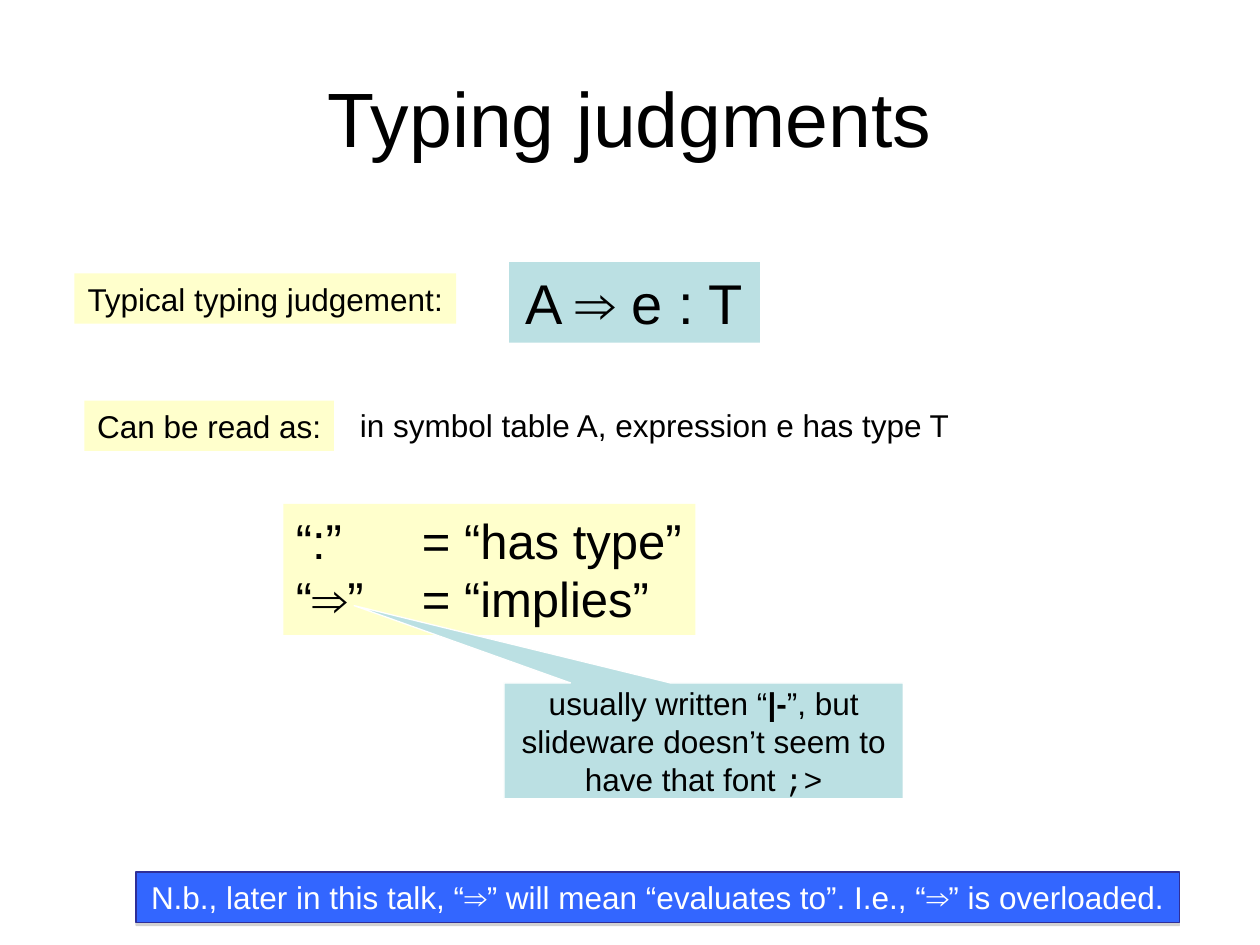
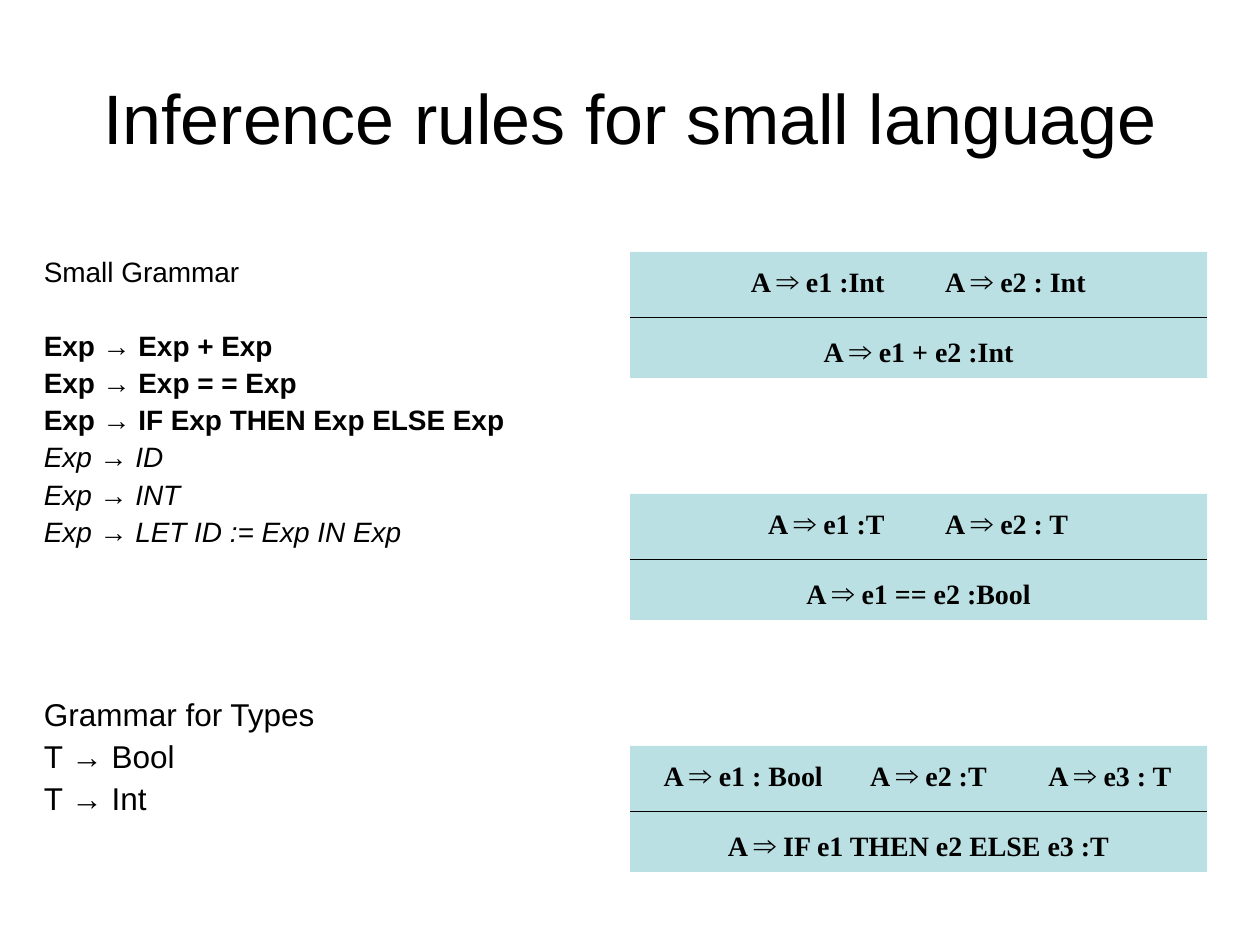
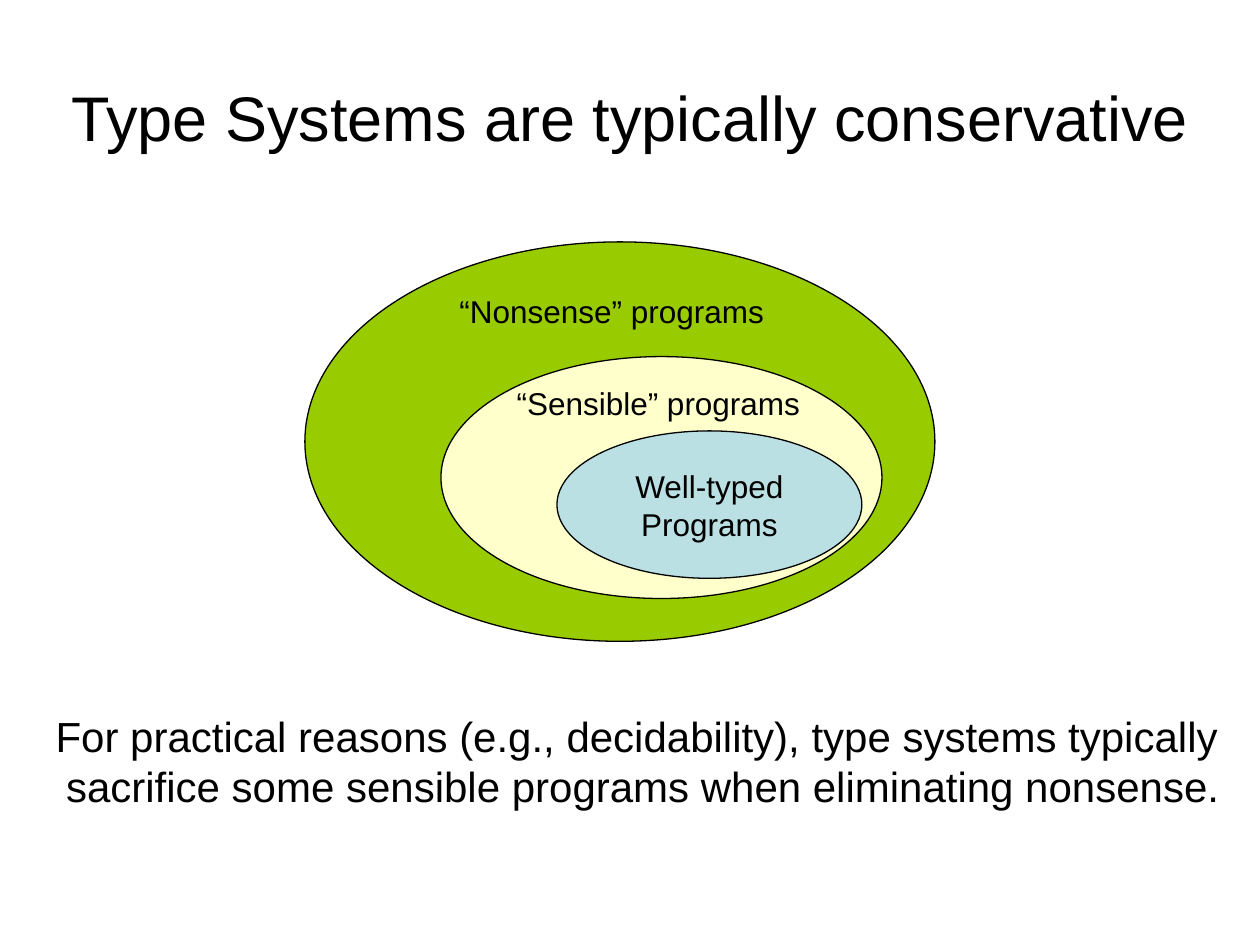
import pptx
import pptx.dml.color
import pptx.enum.shapes
import pptx.enum.text
import pptx.oxml.ns
import pptx.util
from lxml import etree

Inches = pptx.util.Inches
Pt = pptx.util.Pt
RGBColor = pptx.dml.color.RGBColor
SHAPE = pptx.enum.shapes.MSO_SHAPE
ALIGN = pptx.enum.text.PP_ALIGN
ANCHOR = pptx.enum.text.MSO_ANCHOR
AUTO_SIZE = pptx.enum.text.MSO_AUTO_SIZE
qn = pptx.oxml.ns.qn

BLACK = RGBColor(0x00, 0x00, 0x00)
WHITE = RGBColor(0xFF, 0xFF, 0xFF)
TEAL = RGBColor(0xBB, 0xE0, 0xE3)
CREAM = RGBColor(0xFF, 0xFF, 0xCC)
GREEN = RGBColor(0x99, 0xCC, 0x00)
BLUE = RGBColor(0x33, 0x66, 0xFF)
NAVY = RGBColor(0x2F, 0x2F, 0x98)

BOLD = {"bold": True}
ITALIC = {"italic": True}
SERIF = {"bold": True, "name": "Times New Roman", "size": Pt(16)}
MONO = {"name": "Courier New"}


def add_box(slide, at, paragraphs, size=18, kind=SHAPE.RECTANGLE, fill=None, line=None,
            color=BLACK, align=ALIGN.CENTER, middle=False, wrap=False, tabs=(), tab_align="l"):
    """Place a box; a paragraph is a list of (text, font settings) runs.

    Without fill it is a plain text box. Tabs are in inches from the text edge.
    """
    place = [Inches(v) for v in at]
    if fill is None:
        sp = slide.shapes.add_textbox(*place)
    else:
        sp = slide.shapes.add_shape(kind, *place)
        sp.shadow.inherit = False
        sp.fill.solid()
        sp.fill.fore_color.rgb = fill
        if line is None:
            sp.line.fill.background()
        else:
            sp.line.color.rgb = line
            sp.line.width = Pt(0.75)
    tf = sp.text_frame
    tf.word_wrap = wrap
    tf.auto_size = AUTO_SIZE.NONE
    tf.vertical_anchor = ANCHOR.MIDDLE if middle else ANCHOR.TOP
    for i, runs in enumerate(paragraphs):
        p = tf.paragraphs[0] if i == 0 else tf.add_paragraph()
        p.alignment = align
        if tabs:
            tab_list = etree.SubElement(p._p.get_or_add_pPr(), qn("a:tabLst"))
            for stop in tabs:
                etree.SubElement(tab_list, qn("a:tab"), pos=str(Inches(stop)), algn=tab_align)
        for text, settings in runs:
            r = p.add_run()
            r.text = text
            r.font.name = "Arial"
            r.font.size = Pt(size)
            r.font.color.rgb = color
            for key, value in settings.items():
                setattr(r.font, key, value)
    return sp


def add_titled_slide(prs, title, size, left=0.5):
    slide = prs.slides.add_slide(prs.slide_layouts[6])
    add_box(slide, (left, 0.3, 10 - 2 * left, 1.25), [[(title, {})]], size,
            middle=True, wrap=True)
    return slide


prs = pptx.Presentation()
prs.slide_width = Inches(10)
prs.slide_height = Inches(7.5)

# Typing judgments
slide = add_titled_slide(prs, "Typing judgments", 44)
add_box(slide, (4.04, 2.08, 1.99, 0.64), [[("A ⇒ e : T", {})]], 32, fill=TEAL)
for at, text, fill in [
    ((0.59, 2.17, 3.03, 0.4), "Typical typing judgement:", CREAM),
    ((0.67, 3.18, 1.98, 0.4), "Can be read as:", CREAM),
    ((2.75, 3.17, 4.89, 0.4), "in symbol table A, expression e has type T", None),
]:
    add_box(slide, at, [[(text, {})]], fill=fill)
add_box(slide, (2.25, 4, 3.27, 1.04),
        [[("“:”\t= “has type”", {})], [("“⇒”\t= “implies”", {})]],
        28, fill=CREAM, align=ALIGN.LEFT, tabs=[1])
callout = add_box(slide, (4, 5.42, 3.17, 0.92), [
    [("usually written “", {}), ("|-", BOLD), ("”, but", {})],
    [("slideware doesn’t seem to", {})],
    [("have that font ", {}), (";>", MONO)],
], kind=SHAPE.RECTANGULAR_CALLOUT, fill=TEAL, line=WHITE, middle=True)
callout.adjustments[0] = -0.875
callout.adjustments[1] = -1.167

note = add_box(slide, (1.08, 6.92, 8.28, 0.4), [[
    ("N.b., later in this talk, “⇒” will mean “evaluates to”. I.e., “⇒” is overloaded.", {}),
]], fill=BLUE, line=NAVY, color=WHITE)
effects = note._element.spPr.find(qn("a:effectLst"))
shadow = etree.SubElement(effects, qn("a:outerShdw"), dist=str(Pt(1.8)), dir="5400000",
                          rotWithShape="0")
shade = etree.SubElement(shadow, qn("a:srgbClr"), val="808080")
etree.SubElement(shade, qn("a:alpha"), val="35000")

# Inference rules
slide = add_titled_slide(prs, "Inference rules for small language", 40)
grammar = [
    ("Small Grammar", {}),
    ("Exp → Exp + Exp", BOLD),
    ("Exp → Exp = = Exp", BOLD),
    ("Exp → IF Exp THEN Exp ELSE Exp", BOLD),
    ("Exp → ID", ITALIC),
    ("Exp → INT", ITALIC),
    ("Exp → LET ID := Exp IN Exp", ITALIC),
]
types = [("Grammar for Types", {}), ("T → Bool", {}), ("T → Int", {})]
for at, lines, size, gap, heading_gap in [
    ((0.25, 2, 4, 3.08), grammar, 16, 4, 25),
    ((0.25, 5.5, 4.25, 1.5), types, 18, 4.5, 4.5),
]:
    sp = add_box(slide, at, [[line] for line in lines], size, align=ALIGN.LEFT, wrap=True)
    for i, p in enumerate(sp.text_frame.paragraphs):
        p.line_spacing = 0.9
        if i > 0:
            p.space_before = Pt(heading_gap if i == 1 else gap)

# Each rule: top, premises with the centre of each, conclusion
rules = [
    (2, {" e1 :Int": 1.39, " e2 : Int": 2.96}, " e1 + e2 :Int"),
    (3.92, {" e1 :T": 1.46, " e2 : T": 2.89}, " e1 == e2 :Bool"),
    (5.92, {" e1 : Bool": 0.8, " e2 :T": 2.27, " e3 : T": 3.71}, " IF e1 THEN e2 ELSE e3 :T"),
]
for top, premises, conclusion in rules:
    premise_runs = []
    for premise in premises:
        premise_runs += [("\tA ", SERIF), ("⇒", {}), (premise, SERIF)]
    conclusion_runs = [("A ", SERIF), ("⇒", {}), (conclusion, SERIF)]
    sp = add_box(slide, (5, top, 4.58, 1), [premise_runs, conclusion_runs], fill=TEAL,
                 align=ALIGN.LEFT, middle=True, wrap=True,
                 tabs=premises.values(), tab_align="ctr")
    p = sp.text_frame.paragraphs[1]
    p.alignment = ALIGN.CENTER
    p.space_before = Pt(18)
    bar = slide.shapes.add_connector(pptx.enum.shapes.MSO_CONNECTOR.STRAIGHT, Inches(5),
                                     Inches(top + 0.52), Inches(9.58), Inches(top + 0.52))
    bar.line.color.rgb = BLACK
    bar.line.width = Pt(0.75)
    etree.SubElement(bar._element.spPr, qn("a:effectLst"))

# Conservative type systems
slide = add_titled_slide(prs, "Type Systems are typically conservative", 36, left=0.25)
for at, fill, lines in [
    ((2.42, 1.92, 5, 3.17), GREEN, []),
    ((3.5, 2.83, 3.5, 1.92), CREAM, []),
    ((4.42, 3.42, 2.42, 1.17), TEAL, ["Well-typed", "Programs"]),
]:
    add_box(slide, at, [[(line, {})] for line in lines], kind=SHAPE.OVAL, fill=fill,
            line=BLACK, middle=True)
add_box(slide, (4, 3, 2.45, 0.4), [[("“Sensible” programs", {})]])
add_box(slide, (3.55, 2.27, 2.61, 0.4), [[("“Nonsense” programs", {})]])
add_box(slide, (0.34, 5.59, 9.52, 0.9), [
    [("For practical reasons (e.g., decidability), type systems typically ", {})],
    [("sacrifice some sensible programs when eliminating nonsense.", {})],
], 24)

prs.save("out.pptx")
